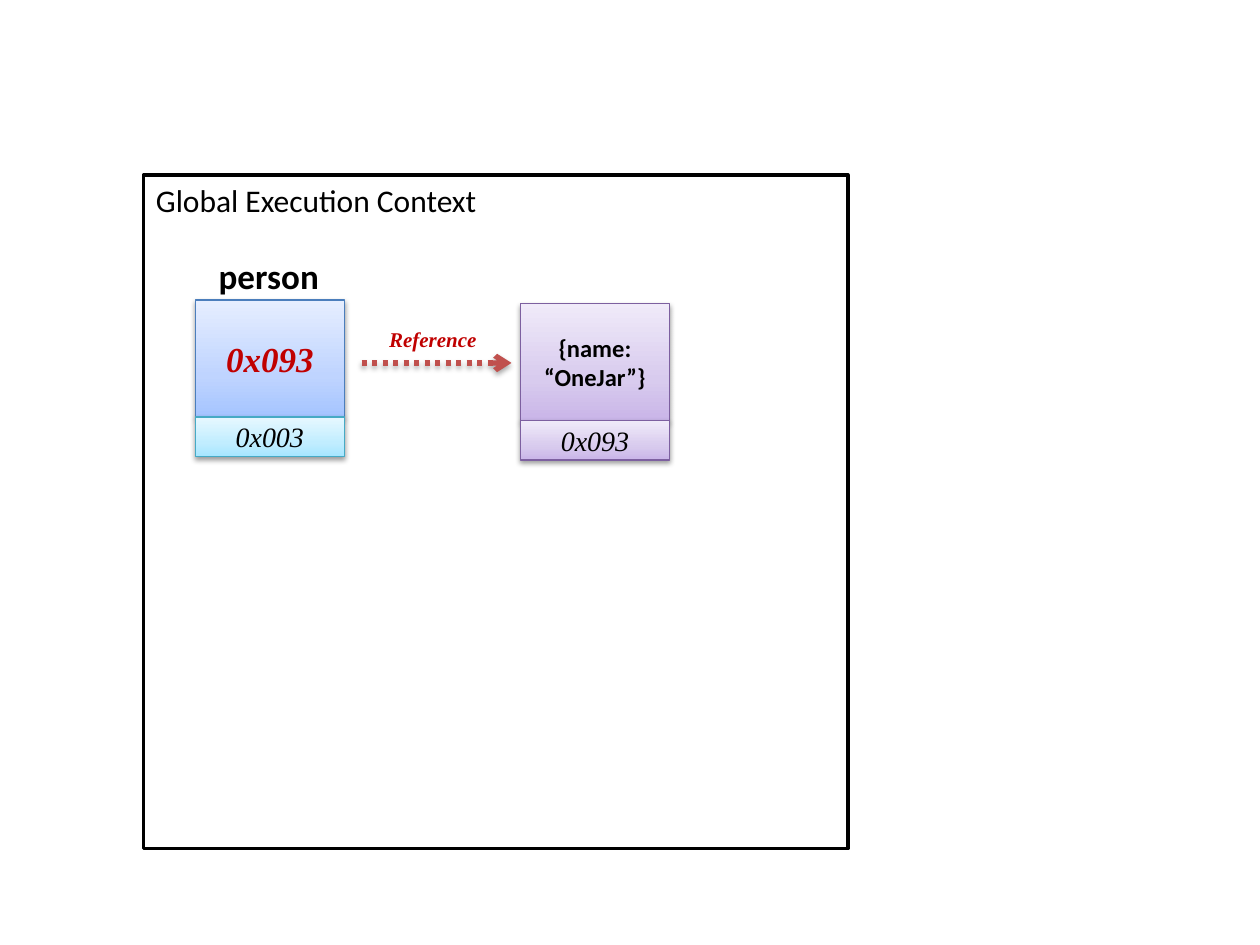
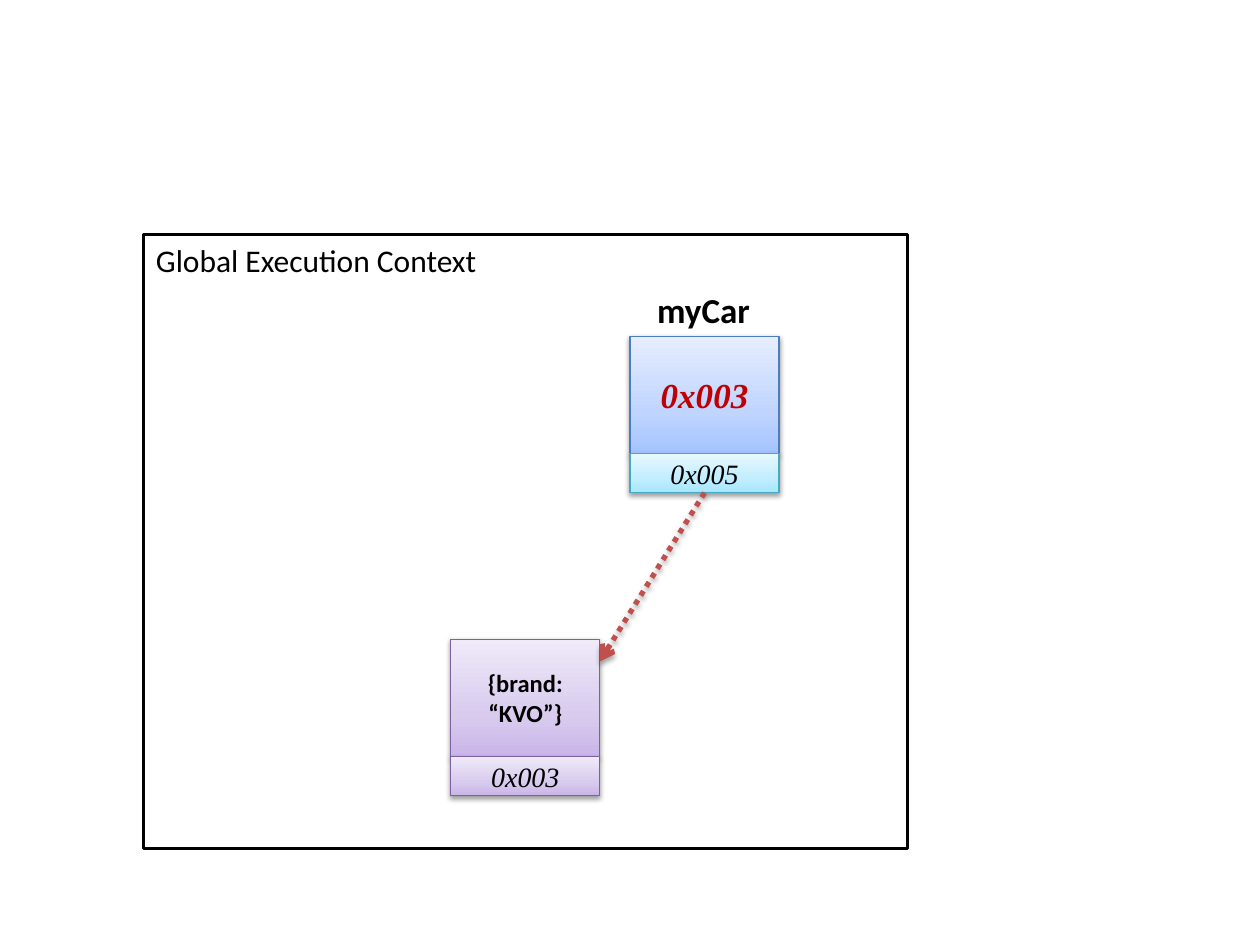
from copy import deepcopy
from dataclasses import dataclass, field

from lxml.etree import SubElement
from pptx import Presentation
from pptx.dml.color import RGBColor
from pptx.enum.dml import MSO_LINE
from pptx.enum.shapes import MSO_CONNECTOR, MSO_SHAPE
from pptx.enum.text import MSO_ANCHOR, MSO_AUTO_SIZE, PP_ALIGN
from pptx.oxml.ns import qn
from pptx.util import Pt

CONTEXT_TITLE = "Global Execution Context"

DIAGRAMS = [
    {
        "context": (82, 100, 402.5, 385),
        "variable": {"name": "person", "name_rise": 29.5, "left": 111.6, "top": 171.4,
                     "value": "0x093", "address": "0x003"},
        "object": {"left": 297.4, "top": 173.5, "value": "{name: “OneJar”}", "address": "0x093"},
        "arrow": {"start": (206.6, 207.4), "end": (292.3, 207.4)},
        "caption": {"text": "Reference", "box": (215.3, 182.9, 113, 21.6)},
    },
    {
        "context": (82, 134, 436.5, 351),
        "variable": {"name": "myCar", "name_rise": 31, "left": 360, "top": 192.2,
                     "value": "0x003", "address": "0x005"},
        "object": {"left": 257.6, "top": 365.3, "value": "{brand: “KVO”}", "address": "0x003"},
        "arrow": {"start": None, "end": (342.7, 378)},
        "caption": None,
    },
]

CELL_WIDTH = 85.2
VALUE_HEIGHT = 67
ADDRESS_HEIGHT = 22.4
NAME_WIDTH = 108
NAME_HEIGHT = 31.7
NAME_SHIFT = 12


@dataclass(frozen=True)
class Theme:
    black: str = "000000"
    white: str = "FFFFFF"
    arrow: str = "C0504D"
    sans: str = "Calibri"
    serif: str = "Times New Roman"
    context_line: float = 2
    cell_line: float = 0.75
    arrow_line: float = 3
    cell_shadow: tuple = (38, 3.1, 1.6)
    arrow_shadow: tuple = (35, 3.1, 1.8)
    stops: tuple = (0, 0.35, 1)
    cells: dict = field(default_factory=lambda: {
        "value": (("A4C4FF", "BFD4FF", "E6EEFF"), "4B7EBC"),
        "address": (("A7E6FF", "C1EDFF", "E7F8FF"), "46AAC5"),
        "object": (("C9B5E8", "D8CBEE", "F0EAF9"), "7D60A0"),
    })
    fonts: dict = field(default_factory=lambda: {
        "context": {"name": "Calibri", "size": Pt(18), "color": "000000"},
        "name": {"name": "Calibri", "size": Pt(20), "color": "000000", "bold": True},
        "value": {"name": "Times New Roman", "size": Pt(20), "color": "C00000",
                  "bold": True, "italic": True},
        "address": {"name": "Times New Roman", "size": Pt(16), "color": "000000", "italic": True},
        "object": {"name": "Calibri", "size": Pt(14), "color": "000000", "bold": True},
        "caption": {"name": "Times New Roman", "size": Pt(12), "color": "C00000",
                    "bold": True, "italic": True},
    })


THEME = Theme()


def points(values):
    return [Pt(value) for value in values]


def write_text(shape, text, font_role, alignment, **frame_format):
    frame = shape.text_frame
    for attribute, setting in {"word_wrap": True, **frame_format}.items():
        setattr(frame, attribute, setting)
    paragraph = frame.paragraphs[0]
    paragraph.alignment = alignment
    run = paragraph.add_run()
    run.text = text
    for attribute, setting in THEME.fonts[font_role].items():
        if attribute == "color":
            run.font.color.rgb = RGBColor.from_string(setting)
        else:
            setattr(run.font, attribute, setting)


def set_line(line, color, width):
    line.color.rgb = RGBColor.from_string(color)
    line.width = Pt(width)


def add_shadow(effects, opacity, blur, distance):
    shadow = SubElement(effects, qn("a:outerShdw"), blurRad=str(Pt(blur)), dist=str(Pt(distance)),
                        dir="5400000", rotWithShape="0")
    color = SubElement(shadow, qn("a:srgbClr"), val=THEME.black)
    SubElement(color, qn("a:alpha"), val=str(opacity * 1000))


def fill_gradient(shape, colors):
    shape.fill.gradient()
    shape.fill.gradient_angle = 90
    stop_list = shape.element.spPr.find(".//" + qn("a:gsLst"))
    stop_list.append(deepcopy(stop_list[0]))
    for stop, position, color in zip(shape.fill.gradient_stops, THEME.stops, colors):
        stop.position = position
        stop.color.rgb = RGBColor.from_string(color)


def add_context(slide, box):
    shape = slide.shapes.add_shape(MSO_SHAPE.RECTANGLE, *points(box))
    shape.shadow.inherit = False
    shape.fill.solid()
    shape.fill.fore_color.rgb = RGBColor.from_string(THEME.white)
    set_line(shape.line, THEME.black, THEME.context_line)
    write_text(shape, CONTEXT_TITLE, "context", PP_ALIGN.LEFT, vertical_anchor=MSO_ANCHOR.TOP)


def add_label(shapes, box, text, font_role, alignment):
    label = shapes.add_textbox(*points(box))
    write_text(label, text, font_role, alignment, auto_size=MSO_AUTO_SIZE.SHAPE_TO_FIT_TEXT)


def add_cell(shapes, box, text, look, font_role):
    colors, line_color = THEME.cells[look]
    cell = shapes.add_shape(MSO_SHAPE.RECTANGLE, *points(box))
    fill_gradient(cell, colors)
    set_line(cell.line, line_color, THEME.cell_line)
    cell.shadow.inherit = False
    add_shadow(cell.element.spPr.find(qn("a:effectLst")), *THEME.cell_shadow)
    write_text(cell, text, font_role, PP_ALIGN.CENTER, vertical_anchor=MSO_ANCHOR.MIDDLE)
    return cell


def add_memory(slide, memory, value_look, address_look):
    left, top = memory["left"], memory["top"]
    shapes = slide.shapes.add_group_shape().shapes
    add_cell(shapes, (left, top, CELL_WIDTH, VALUE_HEIGHT),
             memory["value"], value_look, value_look)
    address_cell = add_cell(shapes, (left, top + VALUE_HEIGHT, CELL_WIDTH, ADDRESS_HEIGHT),
                            memory["address"], address_look, "address")
    if "name" in memory:
        name_box = (left - NAME_SHIFT, top - memory["name_rise"], NAME_WIDTH, NAME_HEIGHT)
        add_label(shapes, name_box, memory["name"], "name", PP_ALIGN.CENTER)
    return address_cell


def add_reference(slide, start, end, address_cell):
    begin = start or end
    connector = slide.shapes.add_connector(MSO_CONNECTOR.STRAIGHT, *points(begin + end))
    if start is None:
        connector.begin_connect(address_cell, 2)
    set_line(connector.line, THEME.arrow, THEME.arrow_line)
    connector.line.dash_style = MSO_LINE.ROUND_DOT
    properties = connector.element.spPr
    SubElement(properties.find(qn("a:ln")), qn("a:tailEnd"), type="arrow")
    add_shadow(SubElement(properties, qn("a:effectLst")), *THEME.arrow_shadow)


def add_diagram(presentation, diagram):
    slide = presentation.slides.add_slide(presentation.slide_layouts[6])
    add_context(slide, diagram["context"])
    add_memory(slide, diagram["object"], "object", "object")
    address_cell = add_memory(slide, diagram["variable"], "value", "address")
    add_reference(slide, **diagram["arrow"], address_cell=address_cell)
    caption = diagram["caption"]
    if caption:
        add_label(slide.shapes, caption["box"], caption["text"], "caption", PP_ALIGN.LEFT)


def main():
    presentation = Presentation()
    presentation.slide_width, presentation.slide_height = points((720, 540))
    for diagram in DIAGRAMS:
        add_diagram(presentation, diagram)
    presentation.save("out.pptx")


if __name__ == "__main__":
    main()
